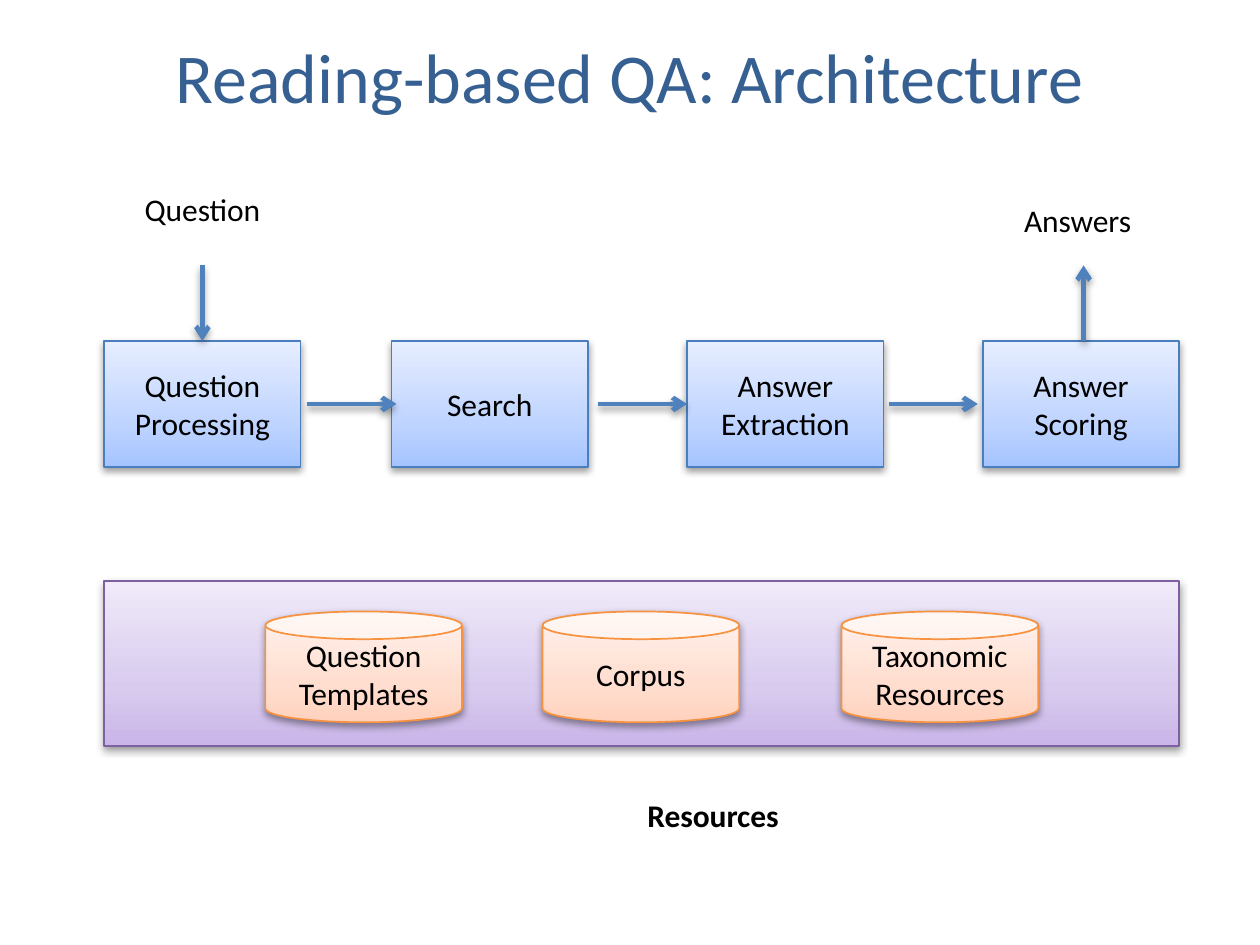
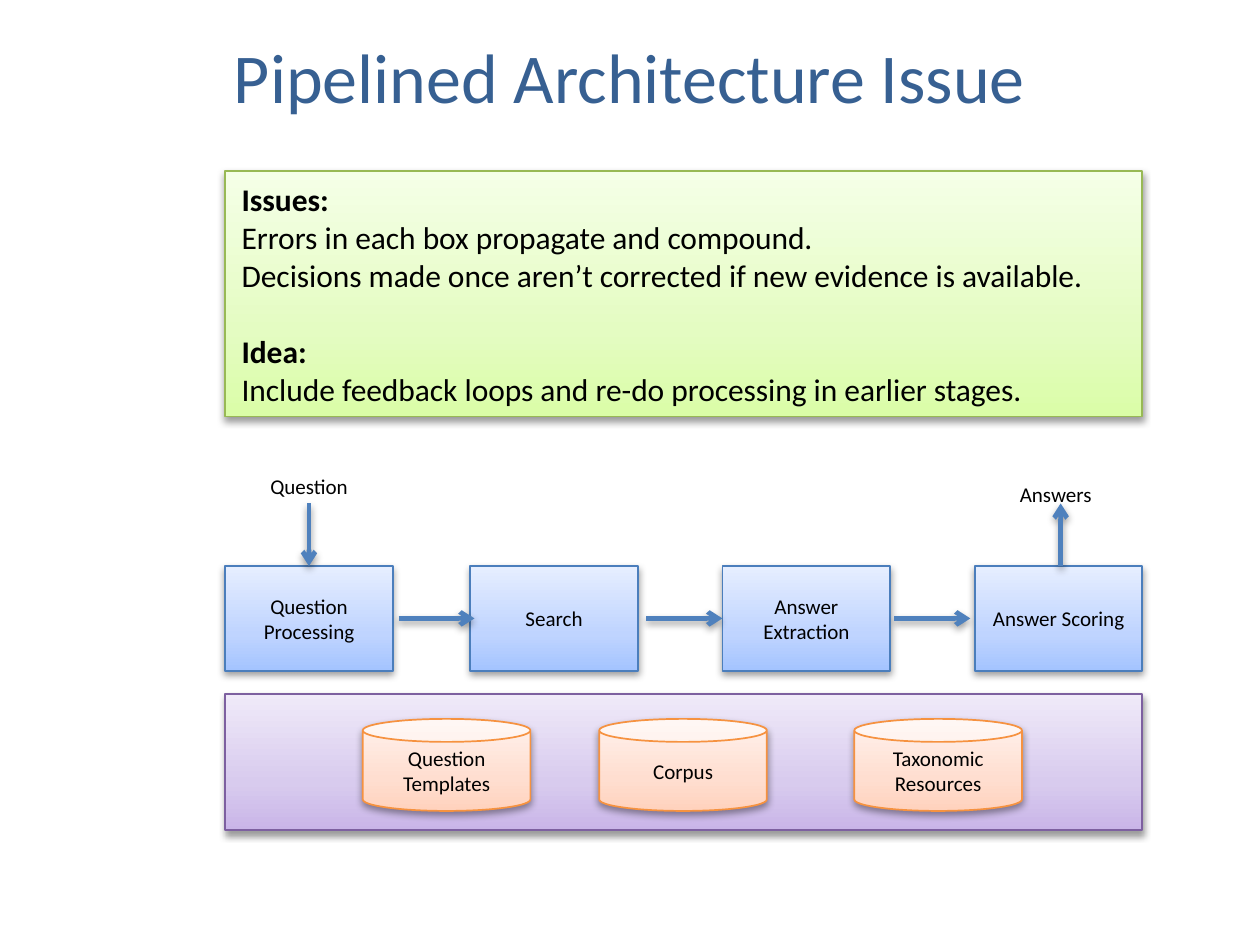
from lxml import etree
from pptx import Presentation
from pptx.dml.color import RGBColor
from pptx.enum.shapes import MSO_CONNECTOR, MSO_SHAPE
from pptx.enum.text import MSO_ANCHOR, PP_ALIGN
from pptx.oxml import parse_xml
from pptx.oxml.ns import nsdecls, qn
from pptx.util import Inches, Pt

RECT, CAN = MSO_SHAPE.RECTANGLE, MSO_SHAPE.CAN
STRAIGHT = MSO_CONNECTOR.STRAIGHT
LEFT, CENTER = PP_ALIGN.LEFT, PP_ALIGN.CENTER
TOP, MIDDLE = MSO_ANCHOR.TOP, MSO_ANCHOR.MIDDLE

FONT = "Calibri"
BLACK = RGBColor(0x00, 0x00, 0x00)
NAVY = RGBColor(0x37, 0x60, 0x92)
STEEL = RGBColor(0x4F, 0x81, 0xBD)


def tone(line, *stops):
    """Outline colour and the gradient colours from bottom to top."""
    return RGBColor.from_string(line), [RGBColor.from_string(s) for s in stops]


BLUE = tone("4B7EBC", "A4C4FF", "BFD4FF", "E6EEFF")
PURPLE = tone("7D60A0", "C9B5E8", "D8CBEE", "F0EAF9")
ORANGE = tone("F69240", "FFD2BD", "FFDED0", "FFF2ED")
GREEN = tone("98B955", "DAFDA7", "E4FCC2", "F5FFE7")
STOPS = (0, 35, 100)

WIDE = 7.5
TALL = WIDE * 3 / 4

# Diagram at full width: inches from its left edge
FULL = 6.4
STEPS = [("Question Processing", 0), ("Search", 1.71),
         ("Answer Extraction", 3.47), ("Answer Scoring", 5.23)]
STORES = [("Question Templates", 0.96), ("Corpus", 2.61),
          ("Taxonomic\nResources", 4.39)]
BOX, FIRST, PITCH, REACH = 1.17, 1.21, 1.73, 0.53
REPLY, EXIT = 5.21, 5.83

HEADS = ("Issues:", "Idea:")
NOTE = "\n".join([
    HEADS[0],
    "Errors in each box propagate and compound.",
    "Decisions made once aren’t corrected if new evidence is available.",
    HEADS[1],
    "Include feedback loops and re-do processing in earlier stages.",
])

SLIDES = [
    dict(title="Reading-based QA: Architecture", size=13.5, rise=1,
         left=0.62, width=FULL, row=2.03, bank=3.46, ask=1.08, reply=1.15,
         caption="Resources"),
    dict(title="Pipelined Architecture Issue", size=9, rise=0.83,
         left=1.34, width=5.46, row=3.37, bank=4.13, ask=2.77, reply=2.82,
         note=NOTE),
]


def write(shape, text, size=13.5, color=BLACK, bold=False, align=CENTER,
          anchor=MIDDLE, heads=()):
    """Fill a shape with text; lines in heads are bold and start a block."""
    frame = shape.text_frame
    frame.word_wrap = True
    frame.vertical_anchor = anchor
    for i, line in enumerate(text.split("\n")):
        para = frame.add_paragraph() if i else frame.paragraphs[0]
        para.alignment = align
        if i and line in heads:
            para.space_before = Pt(16.5)
        run = para.add_run()
        run.text = line
        font = run.font
        font.name, font.size = FONT, Pt(size)
        font.bold = bold or line in heads
        font.color.rgb = color


def label(slide, text, x, y, w, h, **style):
    box = slide.shapes.add_textbox(*map(Inches, (x, y, w, h)))
    write(box, text, **style)


def shade(props):
    """Give shape properties a soft shadow below."""
    for old in props.findall(qn("a:effectLst")):
        props.remove(old)
    props.append(parse_xml(
        f'<a:effectLst {nsdecls("a")}><a:outerShdw blurRad="40000" '
        'dist="20000" dir="5400000" rotWithShape="0"><a:srgbClr val="000000">'
        '<a:alpha val="38000"/></a:srgbClr></a:outerShdw></a:effectLst>'))


def block(slide, kind, x, y, w, h, tint):
    shape = slide.shapes.add_shape(kind, *map(Inches, (x, y, w, h)))
    line, colors = tint
    shape.line.color.rgb = line
    shape.line.width = Pt(0.75)
    shape.shadow.inherit = False
    props = shape.element.spPr
    stops = "".join(
        f'<a:gs pos="{pos * 1000}"><a:srgbClr val="{color}"/></a:gs>'
        for pos, color in zip(STOPS, colors))
    props.find(qn("a:prstGeom")).addnext(parse_xml(
        f'<a:gradFill {nsdecls("a")} rotWithShape="1"><a:gsLst>{stops}'
        '</a:gsLst><a:lin ang="16200000" scaled="0"/></a:gradFill>'))
    shade(props)
    return shape


def arrow(slide, x1, y1, x2, y2, end=None):
    """Arrow; end is a (shape, side) pair to join."""
    link = slide.shapes.add_connector(
        STRAIGHT, *map(Inches, (x1, y1, x2, y2)))
    if end:
        link.end_connect(*end)
    link.line.color.rgb = STEEL
    link.line.width = Pt(2)
    props = link.element.spPr
    etree.SubElement(props.find(qn("a:ln")), qn("a:tailEnd"), type="arrow")
    shade(props)


def diagram(slide, left, width, row, bank, ask, reply, size, rise):
    def place(x):
        return left + x * fit

    fit = width / FULL
    wide, tall = BOX * fit, 0.75 * rise
    boxes = []
    for name, x in STEPS:
        box = block(slide, RECT, place(x), row, wide, tall, BLUE)
        write(box, name, size=size)
        boxes.append(box)

    mid, tip = row + tall / 2, row - 0.45 * rise
    enter = left + wide / 2
    arrow(slide, enter, tip, enter, row, end=(boxes[0], 0))
    for i in range(len(boxes) - 1):
        x = FIRST + i * PITCH
        meets = i == 1  # only this arrow ends on a box's edge
        arrow(slide, place(x), mid, place(x + REACH), mid,
              end=(boxes[i + 1], 1) if meets else None)

    block(slide, RECT, left, bank, width, 0.98 * rise, PURPLE)
    for name, x in STORES:
        can = block(slide, CAN, place(x), bank + 0.18 * rise,
                    wide, 0.66 * rise, ORANGE)
        write(can, name, size=size)

    arrow(slide, place(EXIT), row, place(EXIT), tip)
    for name, x, y in (("Question", 0, ask), ("Answers", REPLY, reply)):
        label(slide, name, place(x), y, wide, 0.33 * rise, size=size,
              anchor=TOP)


def main():
    deck = Presentation()
    deck.slide_width, deck.slide_height = Inches(WIDE), Inches(TALL)
    for page in SLIDES:
        plan = dict(page)
        title = plan.pop("title")
        caption, note = plan.pop("caption", None), plan.pop("note", None)
        slide = deck.slides.add_slide(deck.slide_layouts[6])
        label(slide, title, 0, 0, WIDE, 0.9, size=30, color=NAVY)
        diagram(slide, **plan)
        if caption:
            label(slide, caption, 3.23, 4.69, 2.03, 0.33, bold=True,
                  anchor=TOP)
        if note:
            panel = block(slide, RECT, plan["left"], 1.02, plan["width"],
                          1.46, GREEN)
            write(panel, note, align=LEFT, heads=HEADS)
    deck.save("out.pptx")


if __name__ == "__main__":
    main()
